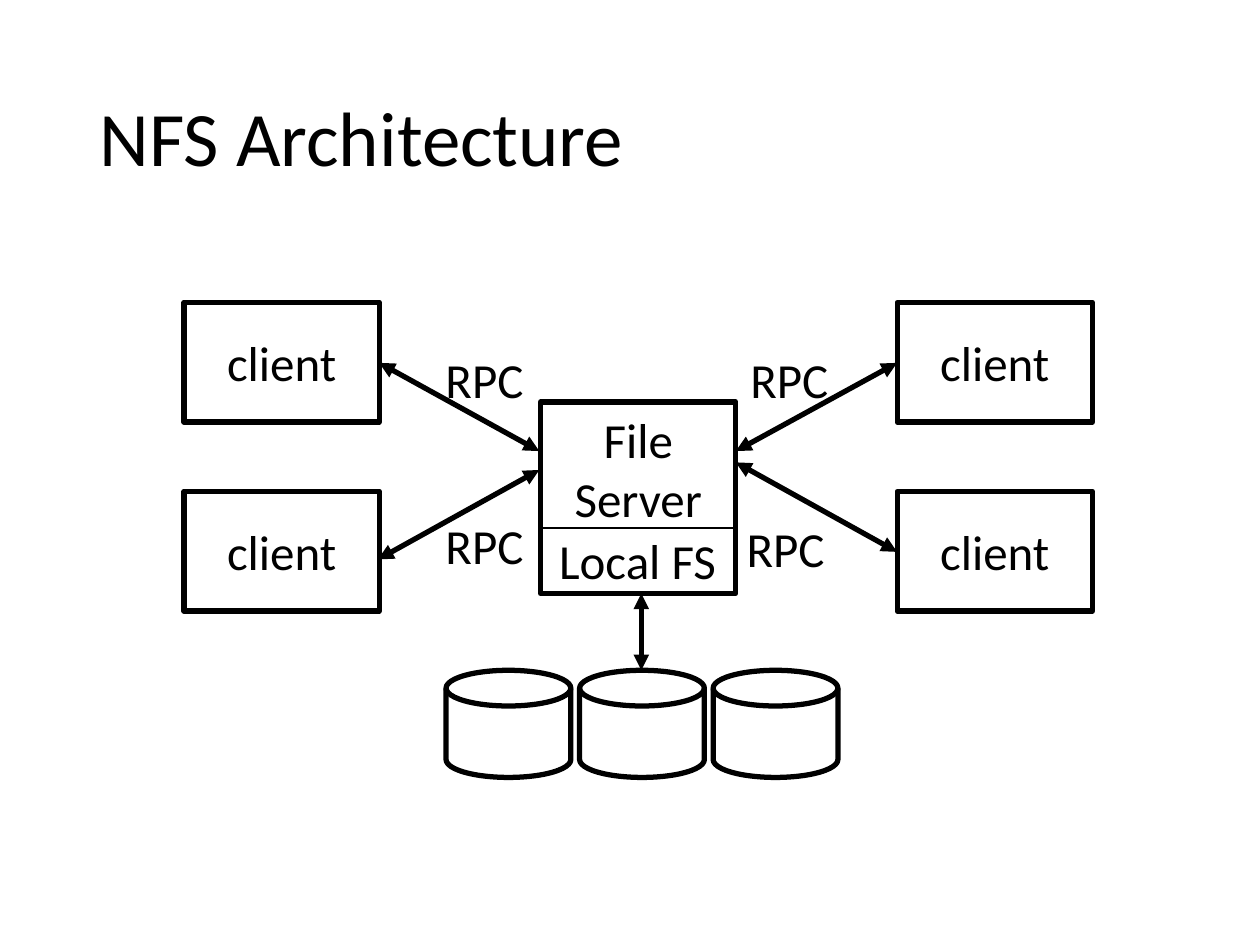
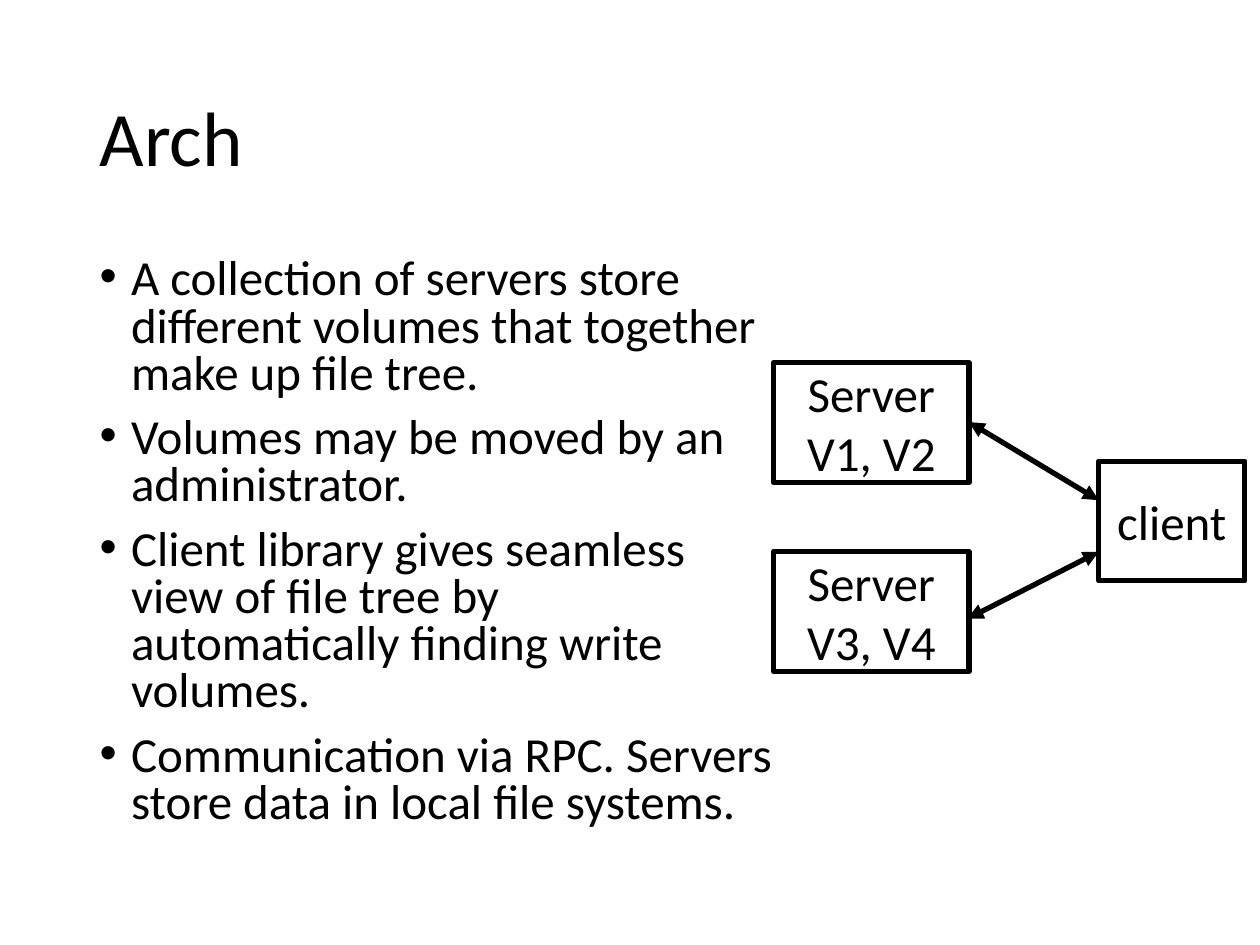
"""Build two slides on the architecture of networked file systems."""
from lxml import etree
from pptx import Presentation, util as u
from pptx.dml.color import RGBColor
from pptx.enum import shapes as es, text as et
from pptx.oxml import ns

INK = RGBColor(0, 0, 0)
FONT = "Calibri"
RECT = es.MSO_SHAPE.RECTANGLE
DISK = es.MSO_SHAPE.FLOWCHART_MAGNETIC_DISK
LEFT, MID = et.PP_ALIGN.LEFT, et.PP_ALIGN.CENTER
BOX = (1.55, 0.95)
ROW = 1.5

HUB = (4.29, 3.19, 1.55, 1.52)
STORE = (4.28, 4.19, 1.56, 0.51)
CLIENTS = [(x, 2.4 + ROW * i) for i in range(2) for x in (1.46, 7.12)]
DISKS = [3.54 + 1.06 * i for i in range(3)]
CALLS = [(3.41, 2.75), (5.83, 2.75), (3.41, 4.07), (5.8, 4.09)]
LINKS = [
    (3.01, 2.88, 4.28, 3.58),
    (5.84, 3.58, 7.12, 2.88),
    (3, 4.44, 4.28, 3.73),
    (5.84, 3.67, 7.12, 4.38),
    (5.09, 4.71, 5.09, 5.32),
]

POINTS = [
    "A collection of servers store different volumes that together make up file tree.",
    "Volumes may be moved by an administrator.",
    "Client library gives seamless view of file tree by automatically finding write volumes.",
    "Communication via RPC. Servers store data in local file systems.",
]
SERVERS = ["V1, V2", "V3, V4"]
ROUTES = [(7.69, 3.35, 8.72, 3.97), (7.68, 4.91, 8.72, 4.38)]


def span(*nums):
    return [u.Inches(n) for n in nums]


def place(shape, *nums):
    shape.left, shape.top, shape.width, shape.height = span(*nums)


def write(frame, lines, size=28, align=MID, anchor=et.MSO_ANCHOR.MIDDLE):
    frame.word_wrap = True
    frame.auto_size = et.MSO_AUTO_SIZE.NONE
    frame.vertical_anchor = anchor
    for i, line in enumerate(lines):
        para = frame.add_paragraph() if i else frame.paragraphs[0]
        para.alignment = align
        run = para.add_run()
        run.text = line
        run.font.name, run.font.size = FONT, u.Pt(size)
        run.font.color.rgb = INK


def start(deck, layout, title):
    slide = deck.slides.add_slide(deck.slide_layouts[layout])
    head = slide.shapes.title
    place(head, 0.69, 0.4, 8.62, 1.45)
    write(head.text_frame, [title], 44, LEFT)
    head.text_frame.paragraphs[0].line_spacing = 0.9
    return slide


def draw(slide, kind, spot, lines=(), weight=3):
    shape = slide.shapes.add_shape(kind, *span(*spot))
    shape.shadow.inherit = False
    shape.fill.background()
    shape.line.color.rgb = INK
    shape.line.width = u.Pt(weight)
    write(shape.text_frame, lines)
    return shape


def link(slide, ends):
    line = slide.shapes.add_connector(es.MSO_CONNECTOR.STRAIGHT, *span(*ends))
    line.line.color.rgb = INK
    line.line.width = u.Pt(3)
    edge = line.line._get_or_add_ln()
    for tag in ("a:headEnd", "a:tailEnd"):
        etree.SubElement(edge, ns.qn(tag), type="triangle")
    etree.SubElement(line._element.spPr, ns.qn("a:effectLst"))


def bullet(para):
    para.line_spacing = 0.8
    para.space_before = u.Pt(10)
    props = para._p.get_or_add_pPr()
    props.set("marL", str(u.Inches(0.25)))
    props.set("indent", str(u.Inches(-0.25)))
    etree.SubElement(props, ns.qn("a:buFont"), typeface="Arial")
    etree.SubElement(props, ns.qn("a:buChar"), char="•")


def nfs(deck):
    slide = start(deck, 5, "NFS Architecture")
    for spot in CLIENTS:
        draw(slide, RECT, spot + BOX, ["client"])
    hub = draw(slide, RECT, HUB, ["File", "Server"])
    hub.text_frame.margin_bottom = u.Inches(0.52)
    for ends in LINKS:
        link(slide, ends)
    draw(slide, RECT, STORE, ["Local FS"], 1)
    for x, y in CALLS:
        label = slide.shapes.add_textbox(*span(x, y, 0.87, 0.51))
        write(label.text_frame, ["RPC"])
    for x in DISKS:
        draw(slide, DISK, (x, 5.32, 0.99, 0.85))


def arch(deck):
    slide = start(deck, 1, "Arch")
    body = slide.placeholders[1]
    place(body, 0.69, 2, 5.58, 4.76)
    write(body.text_frame, POINTS, align=LEFT, anchor=et.MSO_ANCHOR.TOP)
    for para in body.text_frame.paragraphs:
        bullet(para)
    for i, names in enumerate(SERVERS):
        draw(slide, RECT, (6.14, 2.88 + ROW * i) + BOX, ["Server", names])
    draw(slide, RECT, (8.72, 3.66, 1.16, 0.95), ["client"])
    for ends in ROUTES:
        link(slide, ends)


deck = Presentation()
deck.slide_width, deck.slide_height = span(10, 7.5)
nfs(deck)
arch(deck)
deck.save("out.pptx")
